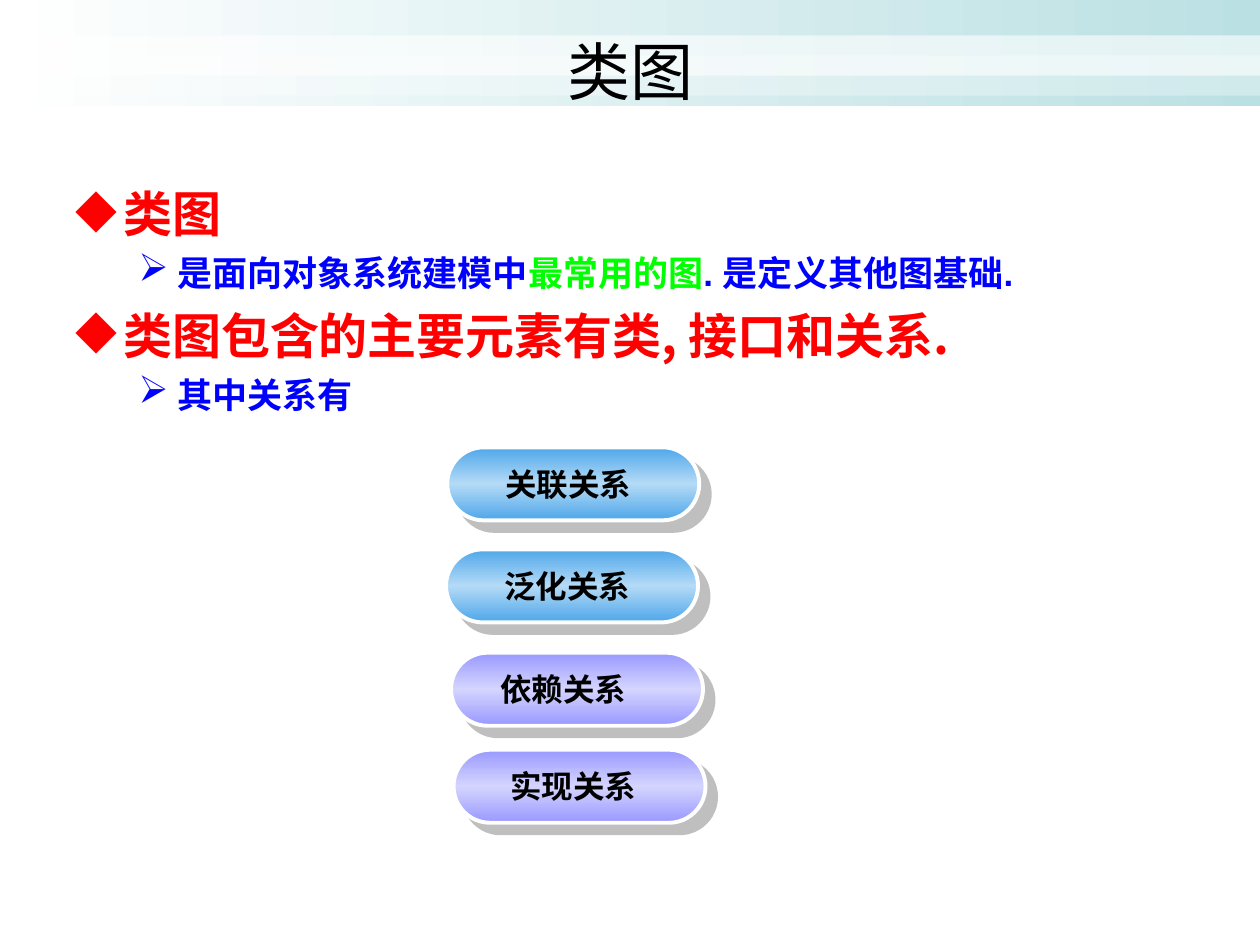
from dataclasses import dataclass

from lxml import etree
from pptx import Presentation
from pptx.dml.color import RGBColor
from pptx.enum.shapes import MSO_SHAPE
from pptx.enum.text import MSO_ANCHOR, PP_ALIGN
from pptx.oxml.ns import qn
from pptx.util import Inches, Pt

RECT, PILL = MSO_SHAPE.RECTANGLE, MSO_SHAPE.ROUNDED_RECTANGLE
CENTER, MIDDLE = PP_ALIGN.CENTER, MSO_ANCHOR.MIDDLE


@dataclass(frozen=True)
class Theme:
    cjk: str = "Noto Sans CJK SC"
    latin: str = "Arial"
    black: str = "000000"
    white: str = "FFFFFF"
    red: str = "FF0000"
    blue: str = "0000FF"
    green: str = "00FF00"
    shadow: str = "808080"
    banner: tuple = ("FFFFFF", "BBE0E3")
    sky: tuple = ("4EA7EA", "B4DAF6", "4EA7EA")
    violet: tuple = ("9999FF", "D4D4FF", "9999FF")
    title: int = 36
    topic: int = 28
    detail: int = 20
    label: int = 18


THEME = Theme()

TITLE = "类图"
OUTLINE = [
    (0, [("类图", THEME.red)]),
    (1, [("是面向对象系统建模中", THEME.blue), ("最常用的图", THEME.green),
         (". 是定义其他图基础.", THEME.blue)]),
    (0, [("类图包含的主要元素有类, 接口和关系.", THEME.red)]),
    (1, [("其中关系有", THEME.blue)]),
]
LEVELS = [
    dict(bullet="◆", color=THEME.red, size=THEME.topic, font=THEME.cjk,
         left=0.38, hang=0.38, before=7),
    dict(bullet="➢", color=THEME.blue, size=THEME.detail, font=THEME.latin,
         left=0.81, hang=0.31, before=5),
]
RELATIONS = [
    ("关联关系", THEME.sky, 3.55, 3.55, 0.17),
    ("泛化关系", THEME.sky, 3.54, 4.36, 0.17),
    ("依赖关系", THEME.violet, 3.58, 5.18, 0.1),
    ("实现关系", THEME.violet, 3.6, 5.95, 0.16),
]
PILL_SIZE = (2, 0.58)
LABEL_SIZE = (1.58, 0.4)
STRIPES = [(0.28, 60), (0.44, 31)]


def box(left, top, width, height):
    return [Inches(v) for v in (left, top, width, height)]


def style(run, size, color, latin, bold=False):
    run.font.size, run.font.bold, run.font.name = Pt(size), bold, latin
    run.font.color.rgb = RGBColor.from_string(color)
    etree.SubElement(run._r.get_or_add_rPr(), qn("a:ea"), typeface=THEME.cjk)


def add_color(parent, color, alpha=None):
    node = etree.SubElement(parent, qn("a:srgbClr"), val=color)
    if alpha is not None:
        etree.SubElement(node, qn("a:alpha"), val=str(alpha * 1000))


def fill_gradient(shape, colors, angle):
    shape.fill.gradient()
    shape.fill.gradient_angle = angle
    stops = shape._element.spPr.find(qn("a:gradFill")).find(qn("a:gsLst"))
    for stop in list(stops):
        stops.remove(stop)
    for i, color in enumerate(colors):
        position = 100000 * i // (len(colors) - 1)
        add_color(etree.SubElement(stops, qn("a:gs"), pos=str(position)), color)


def add_plain(slide, kind, *place):
    shape = slide.shapes.add_shape(kind, *box(*place))
    shape.shadow.inherit = False
    shape.line.fill.background()
    return shape


def add_banner(slide):
    band = add_plain(slide, RECT, 0, 0, 10, 0.84)
    fill_gradient(band, THEME.banner, 0)
    layers = [band]
    for top, alpha in STRIPES:
        stripe = add_plain(slide, RECT, 0, top, 10, 0.32)
        stripe.fill.solid()
        stripe.fill.fore_color.rgb = RGBColor.from_string(THEME.white)
        color = stripe._element.spPr.find(qn("a:solidFill"))[0]
        etree.SubElement(color, qn("a:alpha"), val=str(alpha * 1000))
        layers.append(stripe)
    for depth, layer in enumerate(layers):
        slide.shapes._spTree.insert(2 + depth, layer._element)


def add_title(slide):
    title = slide.shapes.title
    title.left, title.top, title.width, title.height = box(0.5, 0.17, 9, 0.78)
    frame = title.text_frame
    frame.text = TITLE
    frame.vertical_anchor = MIDDLE
    frame.paragraphs[0].alignment = CENTER
    style(frame.paragraphs[0].runs[0], THEME.title, THEME.black, THEME.cjk)


def set_bullet(paragraph, level):
    props = paragraph._p.get_or_add_pPr()
    props.set("marL", str(Inches(level["left"])))
    props.set("indent", str(-Inches(level["hang"])))
    add_color(etree.SubElement(props, qn("a:buClr")), level["color"])
    etree.SubElement(props, qn("a:buSzPct"), val="110000")
    etree.SubElement(props, qn("a:buChar"), char=level["bullet"])


def add_outline(slide):
    frame = slide.shapes.add_textbox(*box(0.5, 1.41, 9, 5.29)).text_frame
    frame.word_wrap = True
    for i, (depth, parts) in enumerate(OUTLINE):
        level = LEVELS[depth]
        paragraph = frame.add_paragraph() if i else frame.paragraphs[0]
        paragraph.level = depth
        set_bullet(paragraph, level)
        if i:
            paragraph.space_before = Pt(level["before"])
        for words, color in parts:
            run = paragraph.add_run()
            run.text = words
            style(run, level["size"], color, level["font"], bold=True)


def add_relation(slide, name, colors, left, top, inset):
    pill = add_plain(slide, PILL, left, top, *PILL_SIZE)
    pill.adjustments[0] = 0.5
    fill_gradient(pill, colors, 90)
    pill.line.color.rgb = RGBColor.from_string(THEME.white)
    pill.line.width = Pt(2.25)
    effects = pill._element.spPr.find(qn("a:effectLst"))
    shadow = etree.SubElement(effects, qn("a:outerShdw"), dist=str(Pt(8.5)),
                              dir="2700000", algn="ctr", rotWithShape="0")
    add_color(shadow, THEME.shadow, 50)

    label_top = top + (PILL_SIZE[1] - LABEL_SIZE[1]) / 2
    frame = slide.shapes.add_textbox(
        *box(left + inset, label_top, *LABEL_SIZE)).text_frame
    frame.word_wrap = True
    frame.text = name
    frame.paragraphs[0].alignment = CENTER
    style(frame.paragraphs[0].runs[0], THEME.label, THEME.black, THEME.latin, bold=True)


def main():
    deck = Presentation()
    deck.slide_width, deck.slide_height = Inches(10), Inches(7.5)
    slide = deck.slides.add_slide(deck.slide_layouts[5])
    add_banner(slide)
    add_title(slide)
    add_outline(slide)
    for relation in RELATIONS:
        add_relation(slide, *relation)
    deck.save("out.pptx")


if __name__ == "__main__":
    main()
